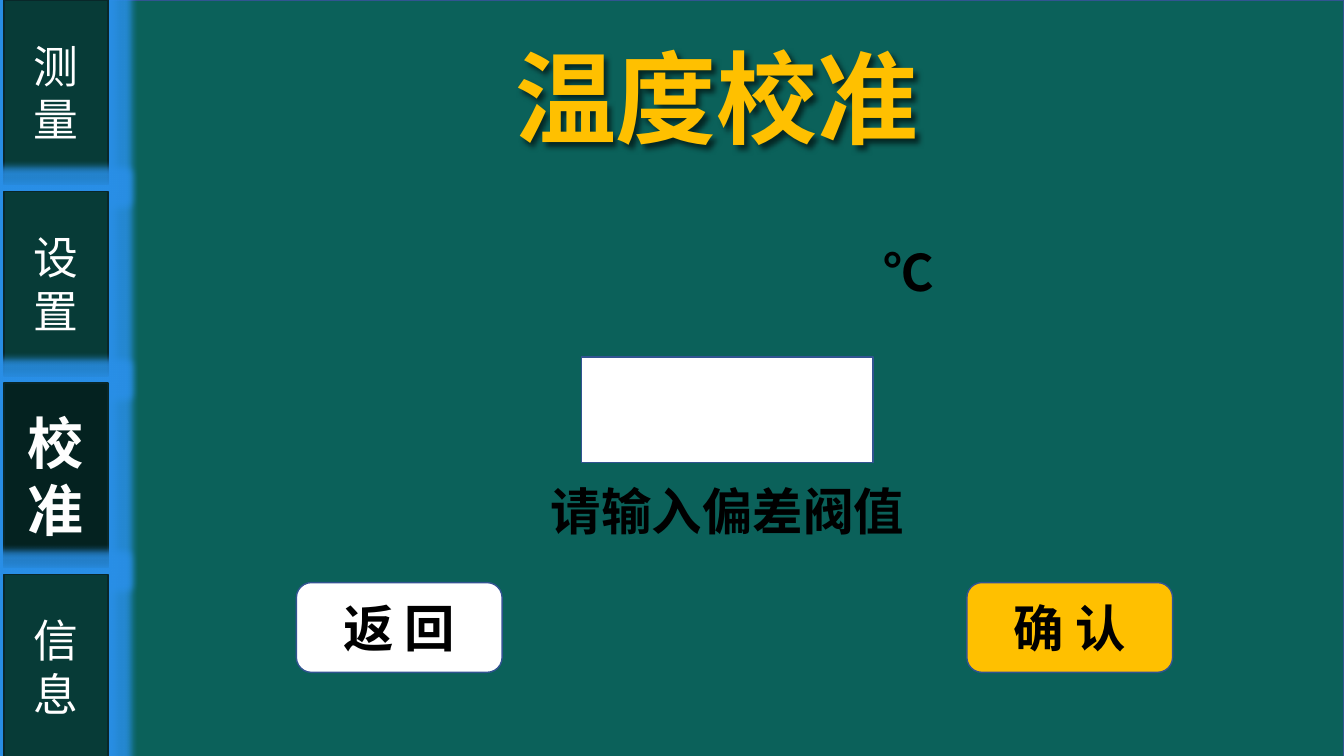
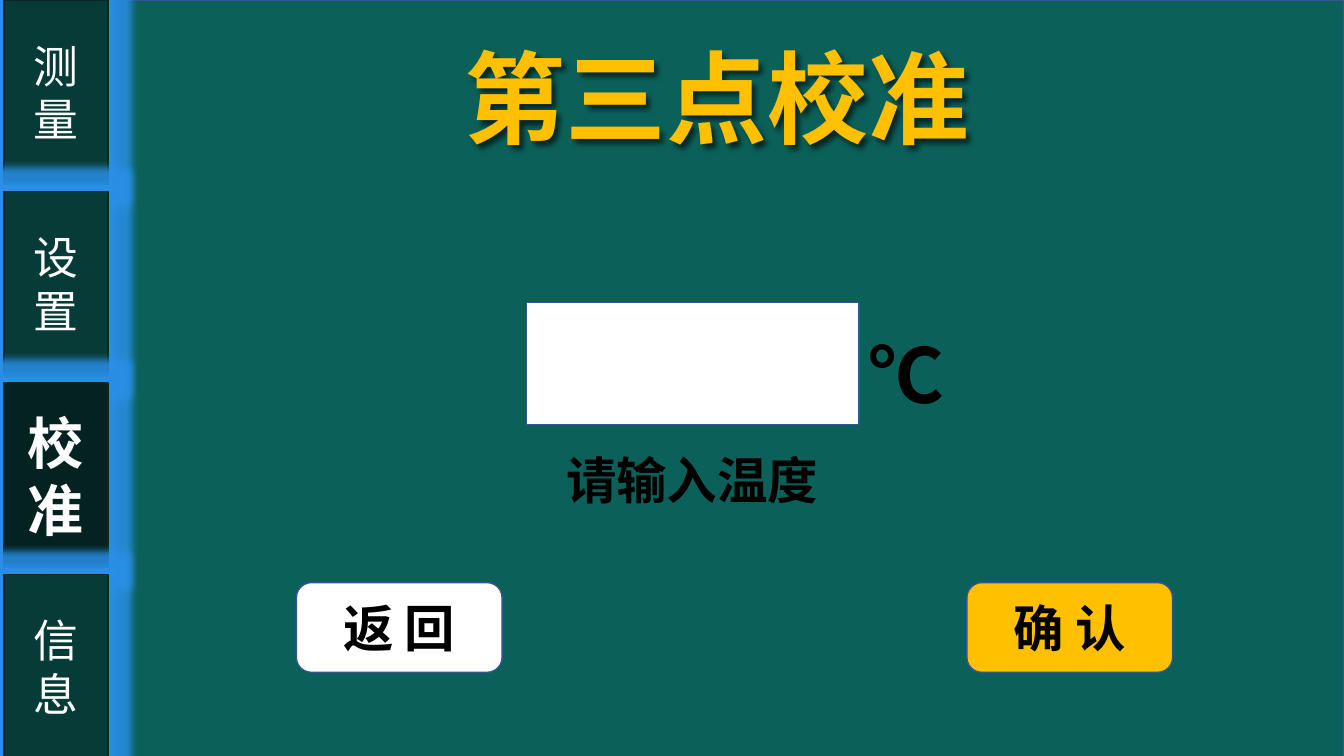
from dataclasses import dataclass

from lxml.etree import SubElement
from pptx import Presentation
from pptx.dml.color import RGBColor
from pptx.enum.shapes import MSO_SHAPE as Shape
from pptx.enum.text import MSO_ANCHOR as Anchor, MSO_AUTO_SIZE as AutoSize, PP_ALIGN as Align
from pptx.oxml import parse_xml
from pptx.oxml.ns import nsdecls, qn
from pptx.util import Inches, Pt


@dataclass(frozen=True)
class Theme:
    """Colours, fonts and type sizes shared by the slides."""
    board: str = "0B615A"
    edge: str = "325491"
    tab: str = "073B37"
    tab_active: str = "042220"
    tab_edge: str = "092729"
    glow: str = "2A90E8"
    accent: str = "FFC000"
    white: str = "FFFFFF"
    active_text: str = "FEFEFE"
    outline: str = "4472C4"
    ink: str = "000000"
    font: str = "Noto Sans CJK SC"
    unit_font: str = "Noto Sans CJK KR"
    tab_font: str = "Calibri"
    title_size: int = 72
    big_unit_size: int = 54
    active_size: int = 40
    body_size: int = 36
    tab_size: int = 32


THEME = Theme()
TABS = ["测量", "设置", "校准", "信息"]
ACTIVE_TAB = "校准"
TAB_PITCH = 1.9


def effects(content):
    """Return an effect list holding the given effect."""
    return parse_xml(f"<a:effectLst {nsdecls('a')}>{content}</a:effectLst>")


def shadow(blur, distance, color, alpha):
    """Return an outer shadow that falls to the lower right."""
    return effects(
        f'<a:outerShdw blurRad="{Pt(blur)}" dist="{Pt(distance)}" dir="2700000" algn="tl" rotWithShape="0">'
        f'<a:srgbClr val="{color}"><a:alpha val="{alpha}000"/></a:srgbClr></a:outerShdw>')


class Panel:
    """Draw the elements of an instrument screen on the current slide."""

    def __init__(self, presentation):
        """Keep the presentation to which screens are added."""
        self.presentation = presentation
        self.slide = None

    def start(self, title):
        """Add a screen with its board, tabs, title and buttons."""
        self.slide = self.presentation.slides.add_slide(self.presentation.slide_layouts[6])
        self.box((0, 0, 13.33, 7.52), THEME.board)
        for index, label in enumerate(TABS):
            self.tab(index, label)
        heading = self.text((4.06, 0.31, 6.1, 1.31), title, THEME.title_size, THEME.accent)
        heading.element.spPr.append(shadow(4, 3, THEME.ink, 60))
        self.button(9.59, "确 认", THEME.accent)
        self.button(2.94, "返 回", THEME.white)

    def box(self, area, fill, edge=THEME.edge, kind=Shape.RECTANGLE):
        """Add a filled shape with a thin edge."""
        shape = self.slide.shapes.add_shape(kind, *map(Inches, area))
        shape.shadow.inherit = False
        shape.fill.solid()
        shape.fill.fore_color.rgb = RGBColor.from_string(fill)
        shape.line.color.rgb = RGBColor.from_string(edge)
        shape.line.width = Pt(1)
        return shape

    def fill_text(self, shape, lines, size, color, font=THEME.font, bold=True, align=Align.CENTER):
        """Put lines into a shape and return their runs."""
        runs = []
        frame = shape.text_frame
        frame.word_wrap = True
        for index, line in enumerate(lines):
            paragraph = frame.add_paragraph() if index else frame.paragraphs[0]
            paragraph.alignment = align
            run = paragraph.add_run()
            run.text = line
            for name, value in {"size": Pt(size), "bold": bold, "name": font}.items():
                setattr(run.font, name, value)
            run.font.color.rgb = RGBColor.from_string(color)
            SubElement(run.font._element, qn("a:ea"), typeface=font)
            runs.append(run)
        return runs

    def tab(self, index, label):
        """Add one glowing side tab, stressed when it is active."""
        active = label == ACTIVE_TAB
        shape = self.box((0.04, index * TAB_PITCH, 1.03, 1.83),
                         THEME.tab_active if active else THEME.tab, THEME.tab_edge)
        properties = shape.element.spPr
        properties.remove(properties.find(qn("a:effectLst")))
        properties.append(effects(
            f'<a:glow rad="{Pt(11)}"><a:srgbClr val="{THEME.glow}">'
            '<a:alpha val="85000"/></a:srgbClr></a:glow>'))
        shape.text_frame.vertical_anchor = Anchor.MIDDLE
        size, color = ((THEME.active_size, THEME.active_text) if active
                       else (THEME.tab_size, THEME.white))
        runs = self.fill_text(shape, label, size, color, THEME.tab_font, active)
        if active:
            for run in runs:
                self.emphasise(run)

    def emphasise(self, run):
        """Give a run an outline, a shadow and wider spacing."""
        properties = run.font._element
        properties.set("spc", "50")
        properties.insert(0, parse_xml(
            f'<a:ln {nsdecls("a")} w="{Pt(0.75)}"><a:solidFill>'
            f'<a:srgbClr val="{THEME.outline}"/></a:solidFill></a:ln>'))
        properties.find(qn("a:solidFill")).addnext(shadow(0, 3, THEME.outline, 60))

    def text(self, area, content, size, color=THEME.ink, font=THEME.font, align=Align.CENTER):
        """Add a text box that grows with its text."""
        shape = self.slide.shapes.add_textbox(*map(Inches, area))
        self.fill_text(shape, [content], size, color, font, align=align)
        shape.text_frame.auto_size = AutoSize.SHAPE_TO_FIT_TEXT
        return shape

    def button(self, left, label, fill):
        """Add a rounded button on the bottom row."""
        shape = self.box((left, 5.78, 2.04, 0.89), fill, kind=Shape.ROUNDED_RECTANGLE)
        shape.text_frame.vertical_anchor = Anchor.MIDDLE
        self.fill_text(shape, [label], THEME.body_size, THEME.ink)

    def entry(self, area, prompt, prompt_at):
        """Add an input field with its prompt below."""
        self.box(area, THEME.white)
        self.text((*prompt_at, 6.27, 0.71), prompt, THEME.body_size)

    def unit(self, area, size):
        """Add the temperature unit."""
        self.text(area, "℃", size, font=THEME.unit_font, align=Align.LEFT)


def main():
    """Build both calibration screens."""
    presentation = Presentation()
    presentation.slide_width = Inches(13.33)
    presentation.slide_height = Inches(7.5)
    panel = Panel(presentation)

    panel.start("温度校准")
    panel.entry((5.77, 3.54, 2.89, 1.05), "请输入偏差阀值", (4.08, 4.71))
    panel.unit((8.66, 2.34, 1.07, 0.71), THEME.body_size)

    panel.start("第三点校准")
    panel.unit((8.52, 3.2, 1.07, 1.01), THEME.big_unit_size)
    panel.entry((5.22, 3, 3.3, 1.21), "请输入温度", (3.73, 4.41))

    presentation.save("out.pptx")


if __name__ == "__main__":
    main()
